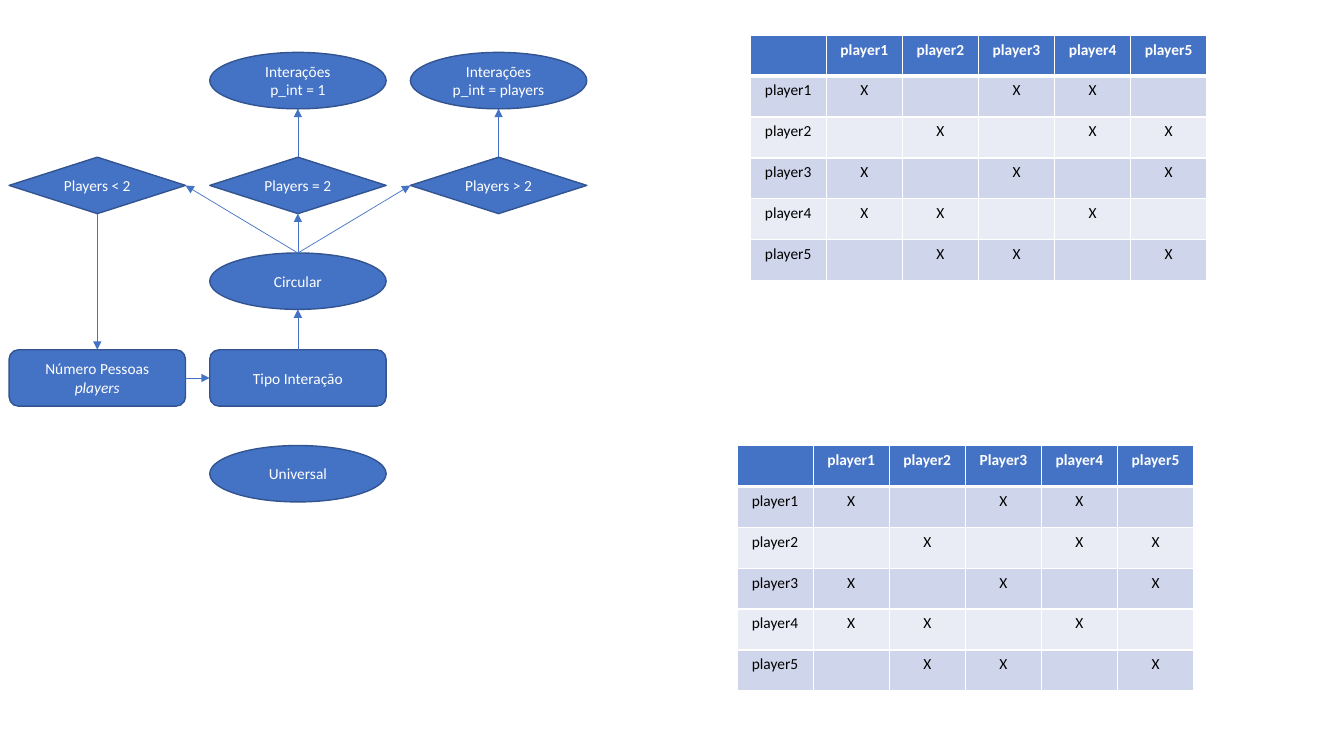
import pptx
import pptx.util
import pptx.dml.color
import pptx.enum.shapes
import pptx.enum.text
import pptx.oxml
import lxml.etree

Inches = pptx.util.Inches
Pt = pptx.util.Pt
SHAPES = pptx.enum.shapes.MSO_SHAPE
DRAWING_NS = "http://schemas.openxmlformats.org/drawingml/2006/main"

COLORS = {
    "blue": "4472C4",
    "outline": "325491",
    "white": "FFFFFF",
    "black": "000000",
    "odd_row": "CFD5EA",
    "even_row": "E9EBF5",
}

# Flowchart grid
NODE_WIDTH, NODE_HEIGHT = 1.75, 0.56
COLUMN_LEFTS = [0.09 + 1.99 * column for column in range(3)]
ROW_TOPS = {"result": 0.52, "condition": 1.56, "circular": 2.51,
            "start": 3.47, "universal": 4.42}

# Interaction tables
TABLE_WIDTH, TABLE_HEIGHT = 4.53, 2.43
PLAYERS = ["player1", "player2", "player3", "player4", "player5"]
INTERACTIONS = ["X.XX.", ".X.XX", "X.X.X", "XX.X.", ".XX.X"]


def rgb(name):
    return pptx.dml.color.RGBColor.from_string(COLORS[name])


def write_text(frame, text, color="white", bold=False, italic_tail=""):
    """Write centred lines; italic_tail follows after a line break."""
    for index, line in enumerate(text.split("\n")):
        paragraph = frame.paragraphs[0] if index == 0 else frame.add_paragraph()
        paragraph.alignment = pptx.enum.text.PP_ALIGN.CENTER
        runs = [(line, False)]
        if italic_tail:
            runs.append((italic_tail, True))
        for words, italic in runs:
            if italic:
                paragraph.add_line_break()
            run = paragraph.add_run()
            run.text = words
            run.font.name = "Calibri"
            run.font.size = Pt(11)
            run.font.bold = bold
            run.font.italic = italic
            run.font.color.rgb = rgb(color)


def add_node(slide, kind, column, row, text, **text_format):
    node = slide.shapes.add_shape(
        kind, Inches(COLUMN_LEFTS[column]), Inches(ROW_TOPS[row]),
        Inches(NODE_WIDTH), Inches(NODE_HEIGHT))
    node.shadow.inherit = False
    node.fill.solid()
    node.fill.fore_color.rgb = rgb("blue")
    node.line.color.rgb = rgb("outline")
    node.line.width = Pt(1)
    frame = node.text_frame
    frame.word_wrap = True
    frame.margin_left = frame.margin_right = Inches(0.05)
    frame.vertical_anchor = pptx.enum.text.MSO_ANCHOR.MIDDLE
    write_text(frame, text, **text_format)
    return node


def side_point(node, side):
    across, down = {"top": (0.5, 0), "bottom": (0.5, 1),
                    "left": (0, 0.5), "right": (1, 0.5)}[side]
    return int(node.left + node.width * across), int(node.top + node.height * down)


def add_arrow(slide, source, source_side, target, target_side):
    arrow = slide.shapes.add_connector(
        pptx.enum.shapes.MSO_CONNECTOR.STRAIGHT,
        *side_point(source, source_side), *side_point(target, target_side))
    arrow.line.color.rgb = rgb("blue")
    arrow.line.width = Pt(0.5)
    line = arrow.line._get_or_add_ln()
    lxml.etree.SubElement(line, f"{{{DRAWING_NS}}}tailEnd", type="triangle")
    lxml.etree.SubElement(arrow._element.spPr, f"{{{DRAWING_NS}}}effectLst")


def set_borders(cell, top, bottom):
    properties = cell._tc.get_or_add_tcPr()
    for side, points in (("L", 1), ("R", 1), ("T", top), ("B", bottom)):
        properties.append(pptx.oxml.parse_xml(
            f'<a:ln{side} xmlns:a="{DRAWING_NS}" w="{Pt(points)}"><a:solidFill>'
            f'<a:srgbClr val="{COLORS["white"]}"/></a:solidFill></a:ln{side}>'))


def add_interaction_table(slide, left, top, headings):
    rows = [[""] + headings]
    for player, marks in zip(PLAYERS, INTERACTIONS):
        rows.append([player] + list(marks.replace(".", " ")))
    count = len(rows)
    table = slide.shapes.add_table(
        count, count, Inches(left), Inches(top),
        Inches(TABLE_WIDTH), Inches(TABLE_HEIGHT)).table
    for row_index, row in enumerate(rows):
        header = row_index == 0
        fill = "blue" if header else ("odd_row" if row_index % 2 else "even_row")
        for column_index, value in enumerate(row):
            cell = table.cell(row_index, column_index)
            set_borders(cell, top=3 if row_index == 1 else 1, bottom=3 if header else 1)
            cell.fill.solid()
            cell.fill.fore_color.rgb = rgb(fill)
            if value.strip():
                write_text(cell.text_frame, value, bold=header,
                           color="white" if header else "black")


def main():
    presentation = pptx.Presentation()
    presentation.slide_width = Inches(13.33)
    presentation.slide_height = Inches(7.5)
    slide = presentation.slides.add_slide(presentation.slide_layouts[6])

    # Flowchart nodes
    people = add_node(slide, SHAPES.ROUNDED_RECTANGLE, 0, "start",
                      "Número Pessoas", italic_tail="players")
    interaction = add_node(slide, SHAPES.ROUNDED_RECTANGLE, 1, "start", "Tipo Interação")
    circular = add_node(slide, SHAPES.OVAL, 1, "circular", "Circular")
    add_node(slide, SHAPES.OVAL, 1, "universal", "Universal")
    fewer, two, more = [
        add_node(slide, SHAPES.DIAMOND, column, "condition", f"Players {sign} 2")
        for column, sign in enumerate("<=>")]
    one_each = add_node(slide, SHAPES.OVAL, 1, "result", "Interações\np_int = 1")
    all_players = add_node(slide, SHAPES.OVAL, 2, "result", "Interações\np_int = players")

    # Flowchart arrows
    for ends in [
        (people, "right", interaction, "left"),
        (interaction, "top", circular, "bottom"),
        (circular, "top", two, "bottom"),
        (circular, "top", fewer, "right"),
        (circular, "top", more, "left"),
        (fewer, "bottom", people, "top"),
        (two, "top", one_each, "bottom"),
        (more, "top", all_players, "bottom"),
    ]:
        add_arrow(slide, *ends)

    # Tables: the lower one capitalises its third heading
    lower_headings = [name.replace("player3", "Player3") for name in PLAYERS]
    add_interaction_table(slide, 7.31, 4.42, lower_headings)
    add_interaction_table(slide, 7.44, 0.35, PLAYERS)

    presentation.save("out.pptx")


main()
